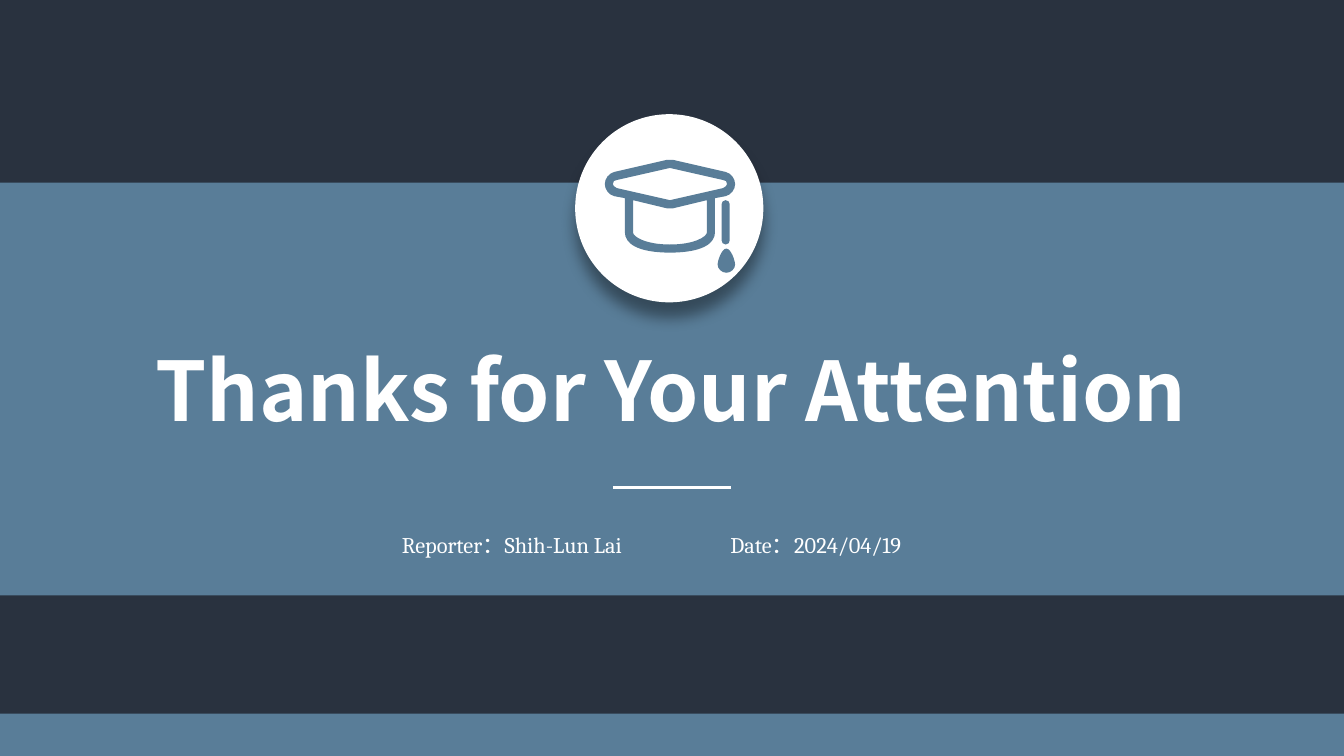
from lxml import etree
from pptx import Presentation
from pptx.dml.color import RGBColor
from pptx.enum.shapes import MSO_CONNECTOR, MSO_SHAPE
from pptx.enum.text import MSO_AUTO_SIZE, PP_ALIGN
from pptx.oxml import parse_xml
from pptx.oxml.ns import nsdecls, qn
from pptx.util import Inches, Pt

NAVY = RGBColor(0x29, 0x32, 0x3F)
BLUE = RGBColor(0x59, 0x7D, 0x98)
WHITE = RGBColor(0xFF, 0xFF, 0xFF)
RECT, OVAL = MSO_SHAPE.RECTANGLE, MSO_SHAPE.OVAL
STRAIGHT = MSO_CONNECTOR.STRAIGHT
CENTER = PP_ALIGN.CENTER
FIT = MSO_AUTO_SIZE.SHAPE_TO_FIT_TEXT

W, H = 10, 5.625
UNIT = Inches(0.001)  # icon outlines are in thousandths of an inch

# Right halves of symmetric outlines: pairs are lines, sixes are Bezier curves
CAP = [
    [(485, 0), (510, 0), (900, 90), (940, 100, 970, 140, 970, 180),
     (970, 220, 940, 260, 900, 270), (820, 285), (820, 540), (820, 620, 730, 690, 485, 690)],
    [(485, 60), (880, 150), (900, 150, 910, 160, 910, 180),
     (910, 190, 900, 200, 880, 210), (485, 300)],
    [(485, 360), (510, 360), (760, 300), (760, 540), (760, 570, 670, 630, 485, 630)],
]
CORD = [[(900, 300), (920, 300, 930, 315, 930, 330), (930, 600),
         (930, 615, 920, 630, 900, 630)]]
DROP = [[(905, 660), (940, 660, 970, 750, 970, 780), (970, 810, 940, 840, 905, 840)]]


def paint(s, color):
    s.shadow.inherit = False
    s.fill.solid()
    s.fill.fore_color.rgb = color
    s.line.fill.background()
    return s


def add_block(shapes, kind, x, y, w, h, color):
    return paint(shapes.add_shape(kind, Inches(x), Inches(y), Inches(w), Inches(h)), color)


def mirrored_points(half):
    """Nodes of a half outline, followed by their mirror image."""
    points = [seg[i:i + 2] for seg in half for i in range(0, len(seg), 2)]
    axis_x = half[0][0]
    return points + [(2 * axis_x - px, py) for px, py in reversed(points[:-1])]


def add_outlines(shapes, halves, x, y):
    outlines = [mirrored_points(half) for half in halves]
    builder = shapes.build_freeform(*outlines[0][0], scale=UNIT)
    for i, points in enumerate(outlines):
        if i:
            builder.move_to(*points[0])
        builder.add_line_segments(points[1:], close=True)
    s = paint(builder.convert_to_shape(Inches(x), Inches(y)), BLUE)

    # Join each three nodes of a curve into one Bezier segment
    nodes = iter(list(s._element.spPr.iter(qn("a:lnTo"))))
    for half in halves:
        for seg in half[1:] + half[:0:-1]:
            first = next(nodes)
            if len(seg) == 6:
                curve = etree.Element(qn("a:cubicBezTo"))
                first.addprevious(curve)
                for node in (first, next(nodes), next(nodes)):
                    curve.append(node[0])
                    node.getparent().remove(node)


def add_text(shapes, x, y, w, h, text, font, size, bold=False, wrap=True):
    tf = shapes.add_textbox(Inches(x), Inches(y), Inches(w), Inches(h)).text_frame
    tf.word_wrap = wrap
    tf.auto_size = FIT
    p = tf.paragraphs[0]
    p.text = text
    p.alignment = CENTER
    p.font.name = font
    p.font.size = Pt(size)
    p.font.bold = bold
    p.font.color.rgb = WHITE


def add_badge(shapes, x, y, size):
    """White disc with a soft shadow and a graduation cap."""
    disc = add_block(shapes, OVAL, x, y, size, size, WHITE)
    disc._element.spPr.find(qn("a:effectLst")).append(parse_xml(
        f'<a:outerShdw {nsdecls("a")} blurRad="{Pt(8)}" dist="{Pt(8)}" dir="5400000" '
        'algn="t" rotWithShape="0"><a:srgbClr val="000000"><a:alpha val="40000"/>'
        '</a:srgbClr></a:outerShdw>'))
    icon = shapes.add_group_shape()
    for part in (CAP, CORD, DROP):
        add_outlines(icon.shapes, part, x + 0.22, y + 0.34)


def add_rule(shapes, x, y, w):
    rule = shapes.add_connector(STRAIGHT, Inches(x), Inches(y), Inches(x + w), Inches(y))
    rule.line.color.rgb = WHITE
    rule.line.width = Pt(1.5)
    etree.SubElement(rule._element.spPr, qn("a:effectLst"))


def add_closing_band(shapes, x, y, w, h):
    """Blue band with badge, thanks, rule and credits."""
    add_block(shapes, RECT, x, y, w, h, BLUE)
    add_text(shapes, x + 0.87, y + 1.12, 8.25, 0.84, "Thanks for Your Attention",
             "Noto Sans CJK SC", 44, bold=True, wrap=False)
    add_badge(shapes, x + 4.28, y - 0.51, 1.4)
    add_rule(shapes, x + (w - 0.88) / 2, y + 2.27, 0.88)
    for dx, width, text in ((2.73, 2.16, "Reporter：Shih-Lun Lai"),
                            (5.17, 1.8, "Date：2024/04/19")):
        add_text(shapes, x + dx, y + 2.54, width, 0.3, text, "Cambria", 12)


def main():
    prs = Presentation()
    prs.slide_width, prs.slide_height = Inches(W), Inches(H)
    slide = prs.slides.add_slide(prs.slide_layouts[6])
    slide.background.fill.solid()
    slide.background.fill.fore_color.rgb = NAVY
    # Footer strip
    add_block(slide.shapes, RECT, 0, 5.31, W, H - 5.31, BLUE)
    add_closing_band(slide.shapes, 0, 1.36, W, 3.07)
    prs.save("out.pptx")


if __name__ == "__main__":
    main()
